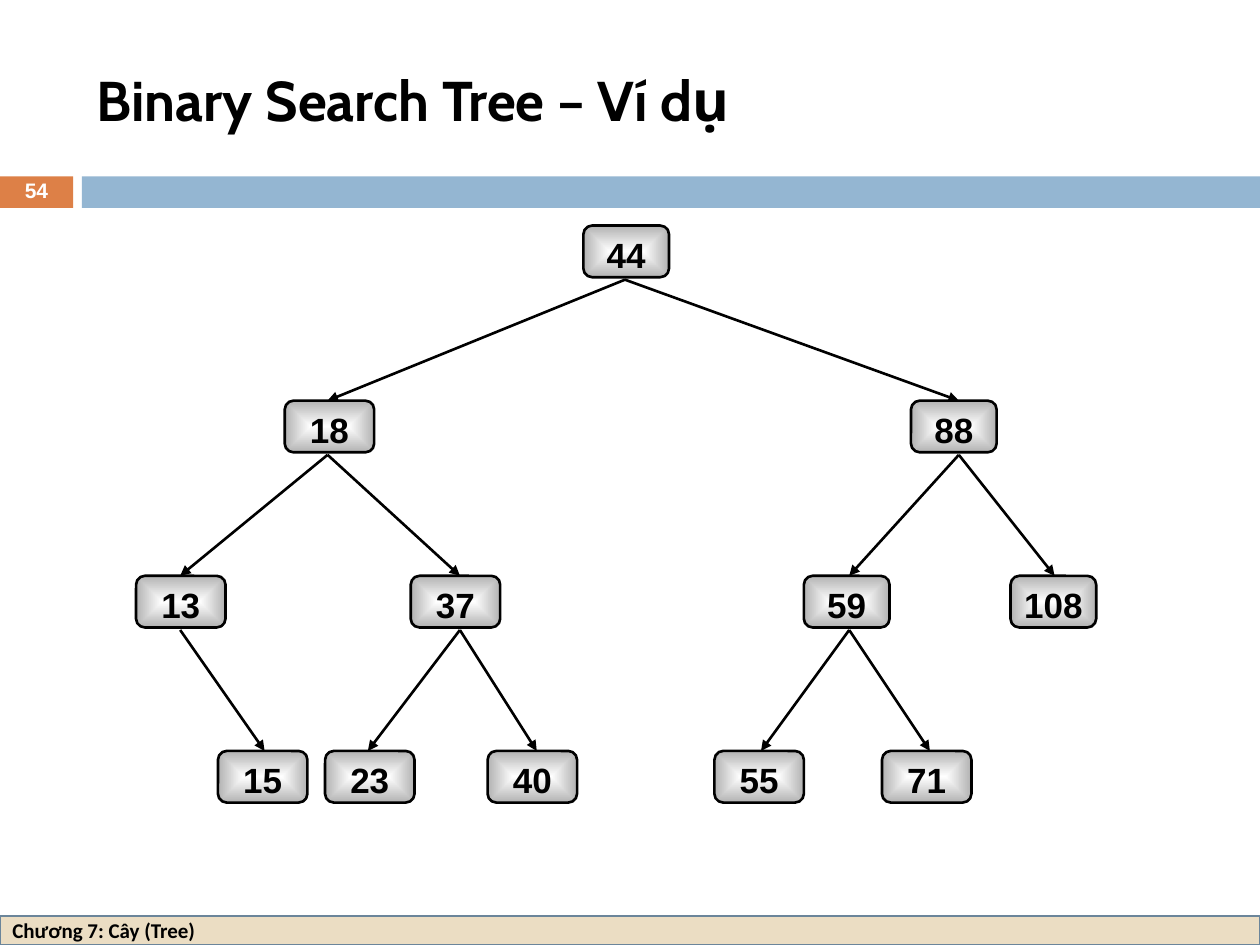
"""Draw a slide with a binary search tree of twelve keys."""
from lxml import etree
from pptx import Presentation
from pptx import util as u
from pptx.dml import color
from pptx.enum import shapes, text
from pptx.oxml import ns

COLORS = {"orange": "DD8047", "blue": "94B6D2", "sand": "EBDDC3", "slate": "6B859A",
          "black": "000000", "white": "FFFFFF", "gray": "B2B2B2"}

deck = Presentation()
deck.slide_width, deck.slide_height = u.Inches(10), u.Inches(7.5)
page = deck.slides.add_slide(deck.slide_layouts[6])
column, row = deck.slide_width / 100, deck.slide_height / 75


def add_box(preset, left, top, width, height, fill=None, line=None):
    """Add a box placed on the grid, with plain fill and outline."""
    place = [round(left * column), round(top * row), round(width * column), round(height * row)]
    if preset is None:
        return page.shapes.add_textbox(*place)
    box = page.shapes.add_shape(preset, *place)
    box.shadow.inherit = False
    if fill:
        box.fill.solid()
        box.fill.fore_color.rgb = color.RGBColor.from_string(COLORS[fill])
    if line:
        box.line.width = u.Pt(1.5)
        box.line.color.rgb = color.RGBColor.from_string(COLORS[line])
    else:
        box.line.fill.background()
    return box


def write(box, words, font, size, ink="black", align="LEFT", spacing=1.0, anchor="MIDDLE", inset=None):
    """Put one bold line of text into a box."""
    frame = box.text_frame
    frame.word_wrap = True
    frame.vertical_anchor = text.MSO_ANCHOR[anchor]
    if inset is not None:
        for side in ("left", "top", "right", "bottom"):
            setattr(frame, "margin_" + side, inset)
    para = frame.paragraphs[0]
    para.alignment, para.line_spacing = text.PP_ALIGN[align], spacing
    span = para.add_run()
    span.text = words
    for name, value in {"name": font, "size": u.Pt(size), "bold": True}.items():
        setattr(span.font, name, value)
    span.font.color.rgb = color.RGBColor.from_string(COLORS[ink])


RECTANGLE = shapes.MSO_SHAPE.RECTANGLE
add_box(RECTANGLE, 0, 14, 5.8, 2.5, "orange")
add_box(RECTANGLE, 6.5, 14, 93.5, 2.5, "blue")
footer = add_box(RECTANGLE, 0, 72.7, 100, 2.3, "sand", "slate")
write(footer, "Chương 7: Cây (Tree)", "Calibri", 12)
title = add_box(None, 6.7, 2.5, 89.2, 10.8)
write(title, "Binary Search Tree – Vi\u0301 du\u0323", "Cabin", 32)
number = add_box(None, 0, 13.9, 5.8, 2.7)
write(number, "54", "Arial", 12, "white", "CENTER", 0.8)

FIRST_ROW, ROW_STEP, NODE_HEIGHT, STEM_DROP = 17.9, 13.9, 4.1, 4.3
WIDE, NARROW = 7.1, 6.8
# key: parent, level, centre, arrow column, width
TREE = {
    44: (None, 0, 49.7, 49.6, NARROW),
    18: (44, 1, 26.15, 26, WIDE),
    88: (44, 1, 75.7, 76.1, NARROW),
    13: (18, 2, 14.35, 14.3, WIDE),
    37: (18, 2, 36.15, 36.5, WIDE),
    59: (88, 2, 67.2, 67.4, NARROW),
    108: (88, 2, 83.6, 83.7, NARROW),
    15: (13, 3, 20.85, 21, WIDE),
    23: (37, 3, 29.35, 29.2, WIDE),
    40: (37, 3, 42.25, 42.6, WIDE),
    55: (59, 3, 60.25, 60.4, WIDE),
    71: (59, 3, 73.55, 73.8, WIDE),
}

for key, (parent, level, centre, stem, width) in TREE.items():
    top = FIRST_ROW + level * ROW_STEP
    node = add_box(shapes.MSO_SHAPE.ROUNDED_RECTANGLE, centre - width / 2, top, width, NODE_HEIGHT, line="black")
    node.adjustments[0] = 0.17
    node.fill.gradient()
    for stop, shade in zip(node.fill.gradient_stops, ("white", "gray")):
        stop.color.rgb = color.RGBColor.from_string(COLORS[shade])
    gradient = node.fill.gradient_stops and node._element.spPr.find(ns.qn("a:gradFill"))
    gradient.remove(gradient.find(ns.qn("a:lin")))
    burst = etree.SubElement(gradient, ns.qn("a:path"), {"path": "rect"})
    etree.SubElement(burst, ns.qn("a:fillToRect"), dict.fromkeys("ltrb", "50000"))
    write(node, str(key), "Arial", 20, align="CENTER", spacing=1.13, anchor="TOP", inset=0)

    if parent is None:
        continue
    start = TREE[parent][3]
    arrow = page.shapes.add_connector(
        shapes.MSO_CONNECTOR.STRAIGHT, round(start * column),
        round((top - ROW_STEP + STEM_DROP) * row), round(stem * column), round(top * row))
    arrow.line.width = u.Pt(1.5)
    arrow.line.color.rgb = color.RGBColor.from_string(COLORS["black"])
    etree.SubElement(arrow.line._get_or_add_ln(), ns.qn("a:tailEnd"), {"type": "triangle"})
    etree.SubElement(arrow._element.spPr, ns.qn("a:effectLst"))

deck.save("out.pptx")
